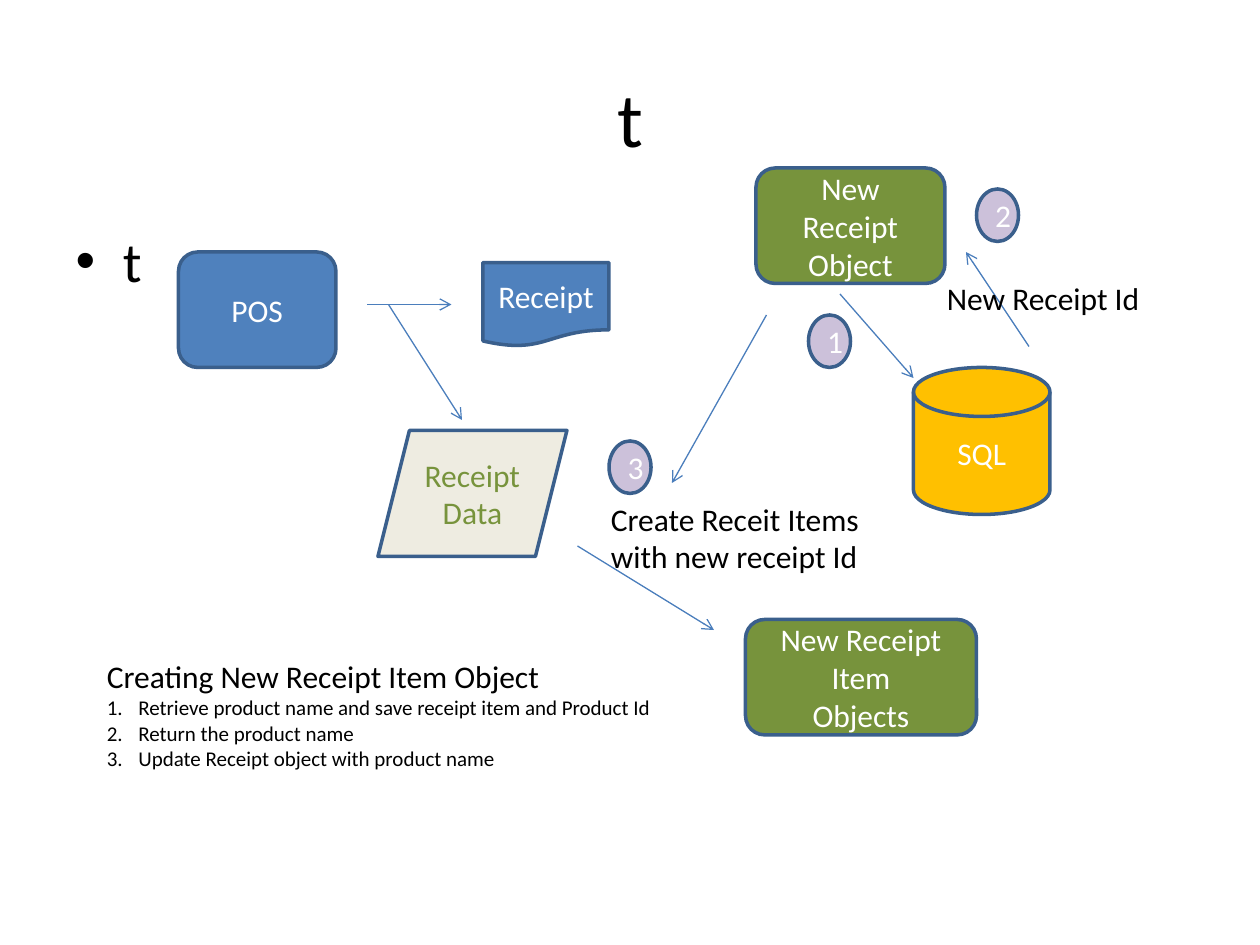
from lxml import etree
from pptx import Presentation
from pptx.dml.color import RGBColor
from pptx.enum.shapes import MSO_CONNECTOR, MSO_SHAPE
from pptx.enum.text import MSO_ANCHOR, MSO_AUTO_SIZE, PP_ALIGN
from pptx.oxml.ns import qn
from pptx.util import Pt

ROUNDED = MSO_SHAPE.ROUNDED_RECTANGLE
DOCUMENT = MSO_SHAPE.FLOWCHART_DOCUMENT
DATA = MSO_SHAPE.PARALLELOGRAM
DISK = MSO_SHAPE.FLOWCHART_MAGNETIC_DISK
OVAL = MSO_SHAPE.OVAL
STRAIGHT = MSO_CONNECTOR.STRAIGHT
MIDDLE, TOP = MSO_ANCHOR.MIDDLE, MSO_ANCHOR.TOP
CENTER, LEFT = PP_ALIGN.CENTER, PP_ALIGN.LEFT
NO_FIT, GROW = MSO_AUTO_SIZE.NONE, MSO_AUTO_SIZE.SHAPE_TO_FIT_TEXT

BLACK = RGBColor(0x00, 0x00, 0x00)
WHITE = RGBColor(0xFF, 0xFF, 0xFF)
BLUE = RGBColor(0x4F, 0x81, 0xBD)
OUTLINE = RGBColor(0x3A, 0x5F, 0x8C)
ARROW = RGBColor(0x4B, 0x7E, 0xBC)
GREEN = RGBColor(0x77, 0x93, 0x3C)
CREAM = RGBColor(0xEE, 0xEC, 0xE1)
GOLD = RGBColor(0xFF, 0xC0, 0x00)
LILAC = RGBColor(0xCC, 0xC1, 0xDA)
FONT = "Calibri"


def place(shape, left, top, width, height):
    """Move and size a shape, in points."""
    shape.left, shape.top = Pt(left), Pt(top)
    shape.width, shape.height = Pt(width), Pt(height)


def add_text(frame, text, size=18, color=BLACK, align=LEFT, new_para=False):
    """Write one formatted paragraph; a vertical tab breaks its line."""
    para = frame.add_paragraph() if new_para else frame.paragraphs[0]
    para.text = text
    para.alignment = align
    for span in para.runs:
        span.font.name, span.font.size = FONT, Pt(size)
        span.font.color.rgb = color
    return para


def add_node(page, kind, box, lines, fill, color=WHITE):
    """Draw an outlined flowchart shape with centred lines of text."""
    node = page.shapes.add_shape(kind, *map(Pt, box))
    node.shadow.inherit = False
    node.fill.solid()
    node.fill.fore_color.rgb = fill
    node.line.color.rgb = OUTLINE
    node.line.width = Pt(2)
    frame = node.text_frame
    frame.word_wrap = True
    frame.vertical_anchor = MIDDLE
    for index, line in enumerate(lines):
        add_text(frame, line, color=color, align=CENTER, new_para=index > 0)


def add_arrow(page, *ends):
    """Draw a thin line with an open arrowhead at its end."""
    arrow = page.shapes.add_connector(STRAIGHT, *map(Pt, ends))
    arrow.line.color.rgb = ARROW
    arrow.line.width = Pt(0.75)
    etree.SubElement(arrow.line._get_or_add_ln(), qn("a:tailEnd"), type="arrow")
    etree.SubElement(arrow._element.spPr, qn("a:effectLst"))


def add_note(page, box, lines):
    """Add an unwrapped text box and return its frame."""
    frame = page.shapes.add_textbox(*map(Pt, box)).text_frame
    frame.word_wrap = False
    frame.auto_size = GROW
    for index, line in enumerate(lines):
        add_text(frame, line, new_para=index > 0)
    return frame


def fill_placeholders(page):
    """Fill the title and the body list."""
    title, body = page.placeholders
    for holder, box, size, align, anchor in (
        (title, (36, 21.6, 648, 90), 44, CENTER, MIDDLE),
        (body, (36, 126, 648, 48), 32, LEFT, TOP),
    ):
        place(holder, *box)
        holder.text_frame.auto_size = NO_FIT
        holder.text_frame.vertical_anchor = anchor
        add_text(holder.text_frame, "t", size=size, align=align)


def draw_sale(page, x, y):
    """Draw the flow from the till to the receipt and its data."""
    add_node(page, ROUNDED, (x, y, 90, 66), ["POS"], BLUE)
    add_node(page, DOCUMENT, (x + 174, y + 6, 72, 48), ["Receipt"], BLUE)
    add_arrow(page, x + 108, y + 30, x + 156, y + 30)
    add_arrow(page, x + 120, y + 30, x + 162, y + 96)
    add_node(page, DATA, (x + 114, y + 102, 108, 72), ["Receipt\vData"], CREAM, GREEN)


def draw_objects(page, x, y):
    """Draw the receipt objects, the database and the numbered steps."""
    add_node(page, ROUNDED, (x + 102, y, 108, 66), ["New Receipt", "Object"], GREEN)
    add_node(page, DISK, (x + 192, y + 114, 78, 84), ["SQL"], GOLD)
    for x1, y1, x2, y2 in (
        (258, 102, 222, 48),
        (150, 72, 192, 120),
        (108, 84, 54, 180),
        (0, 216, 78, 264),
    ):
        add_arrow(page, x + x1, y + y1, x + x2, y + y2)
    add_note(page, (x + 204, y + 60, 126, 29), ["New Receipt Id"])
    add_node(page, ROUNDED, (x + 96, y + 258, 132, 66),
             ["New Receipt Item", "Objects"], GREEN)
    for number, (dx, dy) in enumerate(((132, 84), (228, 12), (18, 156)), 1):
        add_node(page, OVAL, (x + dx, y + dy, 24, 30), [str(number)], LILAC)
    add_note(page, (x + 12, y + 186, 160, 51),
             ["Create Receit Items", "with new receipt Id"])


def draw_steps(page, x, y):
    """Write the heading and the numbered list below the flow."""
    frame = add_note(page, (x, y, 333, 73), ["Creating New Receipt Item Object"])
    for step in (
        "Retrieve product name and save receipt item and Product Id",
        "Return the product name",
        "Update Receipt object with product name",
    ):
        para = add_text(frame, step, size=12, new_para=True)
        props = para._p.get_or_add_pPr()
        props.set("marL", str(Pt(18)))
        props.set("indent", str(-Pt(18)))
        etree.SubElement(props, qn("a:buFont"), typeface="+mj-lt")
        etree.SubElement(props, qn("a:buAutoNum"), type="arabicPeriod")


deck = Presentation()
deck.slide_width, deck.slide_height = Pt(720), Pt(540)
page = deck.slides.add_slide(deck.slide_layouts[1])
fill_placeholders(page)
draw_sale(page, 102, 144)
draw_objects(page, 330, 96)
draw_steps(page, 54, 372)
deck.save("out.pptx")
